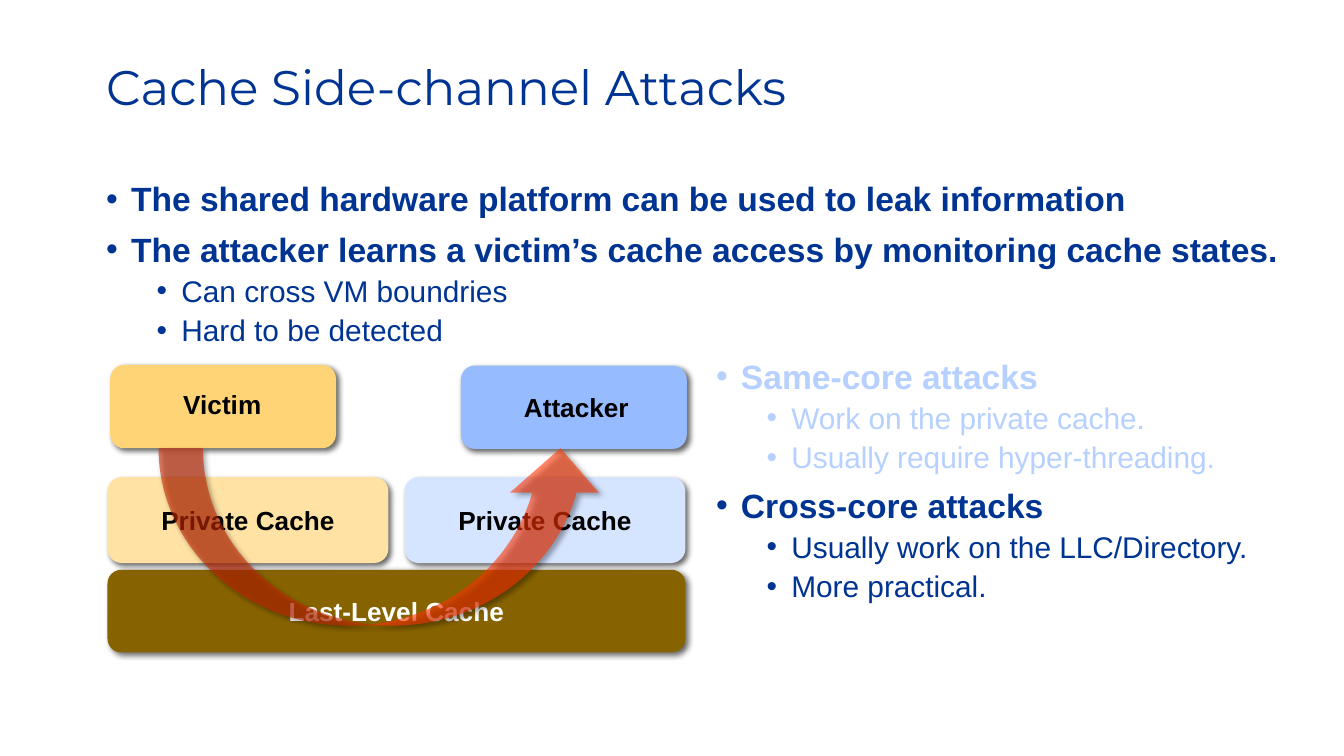
from typing import NamedTuple, Optional

from lxml.etree import SubElement
from pptx import Presentation
from pptx.dml.color import RGBColor
from pptx.enum.shapes import MSO_SHAPE as Preset
from pptx.enum.text import MSO_ANCHOR as Anchor, MSO_AUTO_SIZE as AutoSize, PP_ALIGN as Align
from pptx.oxml.ns import qn
from pptx.util import Emu, Pt

EMU_PER_PX = 4572  # 200 px to the inch
NAVY, PALE, BLACK, WHITE = "003493", "B6D0FF", "000000", "FFFFFF"


class Box(NamedTuple):
    left: int
    top: int
    width: int
    height: int


class Card(NamedTuple):
    box: Box
    fill: str
    text: str = ""
    color: str = BLACK


class Label(NamedTuple):
    box: Box
    text: str


class Bullet(NamedTuple):
    text: str
    level: int = 0
    color: str = NAVY


class LevelStyle(NamedTuple):
    size: int
    bold: bool
    indent: int
    before: float


HANGING = 37
LEVELS = (LevelStyle(18, True, HANGING, 7.5), LevelStyle(16, False, 112, 3.8))

MAIN_POINTS = (
    Bullet("The shared hardware platform can be used to leak information"),
    Bullet("The attacker learns a victim’s cache access by monitoring cache states."),
    Bullet("Can cross VM boundries", 1),
    Bullet("Hard to be detected", 1),
)
ATTACK_KINDS = (
    Bullet("Same-core attacks", 0, PALE),
    Bullet("Work on the private cache.", 1, PALE),
    Bullet("Usually require hyper-threading.", 1, PALE),
    Bullet("Cross-core attacks"),
    Bullet("Usually work on the LLC/Directory.", 1),
    Bullet("More practical.", 1),
)
ATTACKER_CARD = Card(Box(686, 544, 336, 124), "96BBFF")
CACHE_CARDS = (
    Card(Box(160, 848, 860, 123), "876300", "Last-Level Cache", WHITE),
    Card(Box(602, 710, 418, 128), "D5E4FF", "Private Cache"),
    Card(Box(164, 543, 336, 124), "FFD476"),
    Card(Box(160, 710, 418, 128), "FFE2A4", "Private Cache"),
)
LEAK_ARROW = Card(Box(236, 667, 664, 264), "FF3300")
LABELS = (
    Label(Box(253, 568, 158, 68), "Victim"),
    Label(Box(760, 572, 198, 68), "Attacker"),
)


def px(value: int) -> Emu:
    return Emu(value * EMU_PER_PX)


def rgb(value: str) -> RGBColor:
    return RGBColor.from_string(value)


def set_format(target, values: dict) -> None:
    for name, value in values.items():
        setattr(target, name, value)


def place(shape, box: Box) -> None:
    set_format(shape, {name: px(value) for name, value in box._asdict().items()})


def write(para, text: str, size: int, color: str, bold: bool = True, face: str = "Arial") -> None:
    span = para.add_run()
    span.text = text
    set_format(span.font, {"size": Pt(size), "bold": bold, "name": face})
    span.font.color.rgb = rgb(color)


def write_bullets(frame, bullets: tuple[Bullet, ...]) -> None:
    set_format(frame, {"word_wrap": True, "auto_size": AutoSize.NONE, "vertical_anchor": Anchor.TOP})
    for index, bullet in enumerate(bullets):
        style = LEVELS[bullet.level]
        para = frame.add_paragraph() if index else frame.paragraphs[0]
        properties = para._p.get_or_add_pPr()
        properties.set("marL", str(px(style.indent)))
        properties.set("indent", str(px(-HANGING)))
        SubElement(properties, qn("a:buFont"), typeface="Arial")
        SubElement(properties, qn("a:buChar"), char="•")
        set_format(para, {
            "level": bullet.level,
            "line_spacing": 0.9,
            "space_before": Pt(style.before if index else 0),
            "space_after": Pt(0),
        })
        write(para, bullet.text, style.size, bullet.color, style.bold)


def add_shadow(shape) -> None:
    shape.shadow.inherit = False
    effects = shape._element.spPr.find(qn("a:effectLst"))
    shadow = SubElement(effects, qn("a:outerShdw"), blurRad=str(Pt(3)), dist=str(Pt(2)),
                        dir="2700000", algn="tl", rotWithShape="0")
    color = SubElement(shadow, qn("a:srgbClr"), val=BLACK)
    SubElement(color, qn("a:alpha"), val="60000")


def add_card(slide, card: Card, preset: Preset = Preset.ROUNDED_RECTANGLE,
             opacity: Optional[int] = None) -> None:
    """Draw a shadowed shape; opacity is a percentage."""
    shape = slide.shapes.add_shape(preset, *map(px, card.box))
    shape.fill.solid()
    shape.fill.fore_color.rgb = rgb(card.fill)
    shape.line.fill.background()
    add_shadow(shape)
    if opacity is not None:
        color = shape._element.spPr.find(qn("a:solidFill"))[0]
        SubElement(color, qn("a:alpha"), val=str(opacity * 1000))
    if card.text:
        shape.text_frame.vertical_anchor = Anchor.MIDDLE
        para = shape.text_frame.paragraphs[0]
        para.alignment = Align.CENTER
        write(para, card.text, 14, card.color)


def add_label(slide, label: Label) -> None:
    frame = slide.shapes.add_textbox(*map(px, label.box)).text_frame
    set_format(frame, {"word_wrap": False, "auto_size": AutoSize.SHAPE_TO_FIT_TEXT})
    write(frame.paragraphs[0], label.text, 14, BLACK)


def main() -> None:
    deck = Presentation()
    set_format(deck, {"slide_width": px(2000), "slide_height": px(1125)})
    slide = deck.slides.add_slide(deck.slide_layouts[1])

    title, body = slide.shapes.title, slide.placeholders[1]
    place(title, Box(138, 84, 1724, 192))
    set_format(title.text_frame, {"vertical_anchor": Anchor.TOP, "auto_size": AutoSize.NONE})
    heading = title.text_frame.paragraphs[0]
    set_format(heading, {"alignment": Align.LEFT, "line_spacing": 0.9})
    write(heading, "Cache Side-channel Attacks", 26, NAVY, False, "Montserrat")

    place(body, Box(138, 262, 1796, 264))
    write_bullets(body.text_frame, MAIN_POINTS)
    kinds = slide.shapes.add_textbox(*map(px, Box(1046, 526, 924, 460)))
    write_bullets(kinds.text_frame, ATTACK_KINDS)

    for card in (ATTACKER_CARD, *CACHE_CARDS):
        add_card(slide, card)
    add_card(slide, LEAK_ARROW, Preset.CURVED_UP_ARROW, opacity=58)
    for label in LABELS:
        add_label(slide, label)

    deck.save("out.pptx")


if __name__ == "__main__":
    main()
